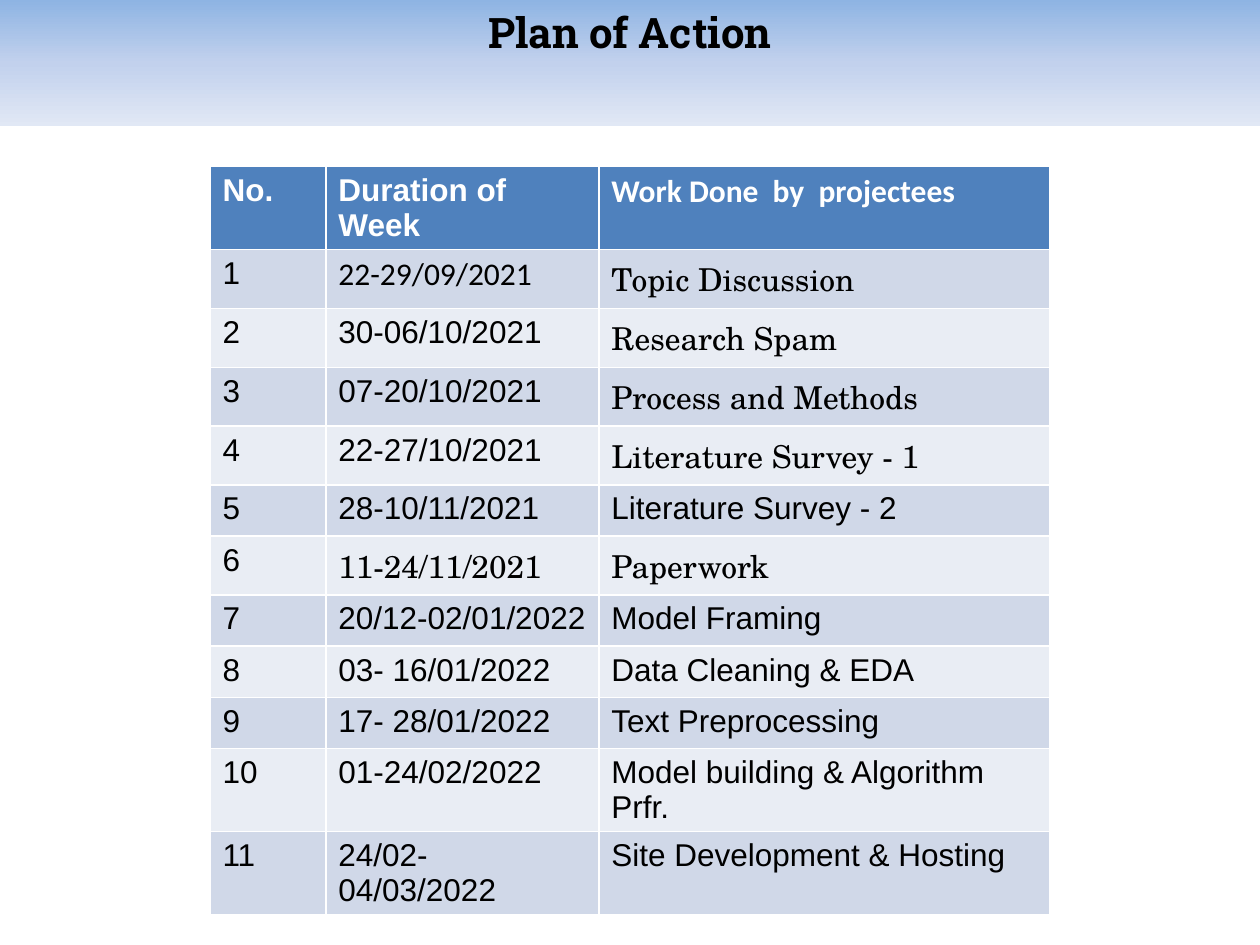
from copy import deepcopy

from pptx import Presentation
from pptx.dml.color import RGBColor
from pptx.enum.shapes import MSO_SHAPE
from pptx.enum.text import MSO_ANCHOR, PP_ALIGN
from pptx.util import Inches, Pt

SLIDE_W, SLIDE_H = Inches(10), Inches(7.5)
SANS, HEADING, SERIF, TITLE = "Arial", "Calibri", "TeX Gyre Schola", "Roboto Slab"
HEADER_FILL, BANDS = "4F81BD", ("D0D8E8", "E9EDF4")
BANNER_STOPS = ((0, "8EB4E3"), (0.5, "C2D1ED"), (1, "E1E8F5"))

HEADERS = ("No.", "Duration of Week", "Work Done  by  projectees")
HEADER_FONTS = (SANS, SANS, HEADING)
# Duration, its font, work done, its font
PLAN = (
    ("22-29/09/2021", HEADING, "Topic Discussion", SERIF),
    ("30-06/10/2021", SANS, "Research Spam", SERIF),
    ("07-20/10/2021", SANS, "Process and Methods", SERIF),
    ("22-27/10/2021", SANS, "Literature Survey - 1", SERIF),
    ("28-10/11/2021", SANS, "Literature Survey - 2", SANS),
    ("11-24/11/2021", SERIF, "Paperwork", SERIF),
    ("20/12-02/01/2022", SANS, "Model Framing", SANS),
    ("03- 16/01/2022", SANS, "Data Cleaning & EDA", SANS),
    ("17- 28/01/2022", SANS, "Text Preprocessing", SANS),
    ("01-24/02/2022", SANS, "Model building & Algorithm Prfr.", SANS),
    ("24/02- 04/03/2022", SANS, "Site Development & Hosting", SANS),
)
COLUMN_SHARES = (0.138, 0.325, 0.537)


def rgb(value):
    return RGBColor.from_string(value)


def write(tf, text, font, size, color, bold=False):
    p = tf.paragraphs[0]
    p.text = text
    p.font.name, p.font.size, p.font.bold = font, Pt(size), bold
    p.font.color.rgb = rgb(color)
    return p


def add_banner(s, left, top, width, height):
    sp = s.shapes.add_shape(MSO_SHAPE.RECTANGLE, left, top, width, height)
    sp.shadow.inherit = False
    sp.line.fill.background()
    # Three-stop gradient running from top to bottom
    sp.fill.gradient()
    sp.fill.gradient_angle = 270
    stops = sp.fill._fill._gradFill.gsLst
    stops.insert(1, deepcopy(stops[0]))
    for stop, (position, color) in zip(sp.fill.gradient_stops, BANNER_STOPS):
        stop.position = position
        stop.color.rgb = rgb(color)
    tf = sp.text_frame
    tf.word_wrap = True
    tf.vertical_anchor = MSO_ANCHOR.TOP
    p = write(tf, "Plan of Action", TITLE, 24, "000000", bold=True)
    p.alignment = PP_ALIGN.CENTER


def fill_row(row, texts, fonts, fill, color, bold):
    for cell, text, font in zip(row.cells, texts, fonts):
        cell.fill.solid()
        cell.fill.fore_color.rgb = rgb(fill)
        write(cell.text_frame, text, font, 18, color, bold)


def add_plan_table(s, left, top, width, height):
    # The default table style supplies the white cell borders
    table = s.shapes.add_table(len(PLAN) + 1, len(HEADERS),
                               left, top, width, height).table
    for column, share in zip(table.columns, COLUMN_SHARES):
        column.width = int(width * share)
    fill_row(table.rows[0], HEADERS, HEADER_FONTS, HEADER_FILL, "FFFFFF", True)
    for i, (duration, duration_font, work, work_font) in enumerate(PLAN):
        fill_row(table.rows[i + 1], (str(i + 1), duration, work),
                 (SANS, duration_font, work_font), BANDS[i % 2], "000000", False)


def main():
    prs = Presentation()
    prs.slide_width, prs.slide_height = SLIDE_W, SLIDE_H
    s = prs.slides.add_slide(prs.slide_layouts[6])
    # Table centred across two thirds of the slide, banner along the top
    table_w = int(SLIDE_W * 2 / 3)
    add_plan_table(s, (SLIDE_W - table_w) // 2, int(SLIDE_H * 0.176),
                   table_w, int(SLIDE_H * 0.65))
    add_banner(s, 0, 0, SLIDE_W, Inches(1))
    prs.save("out.pptx")


if __name__ == "__main__":
    main()
